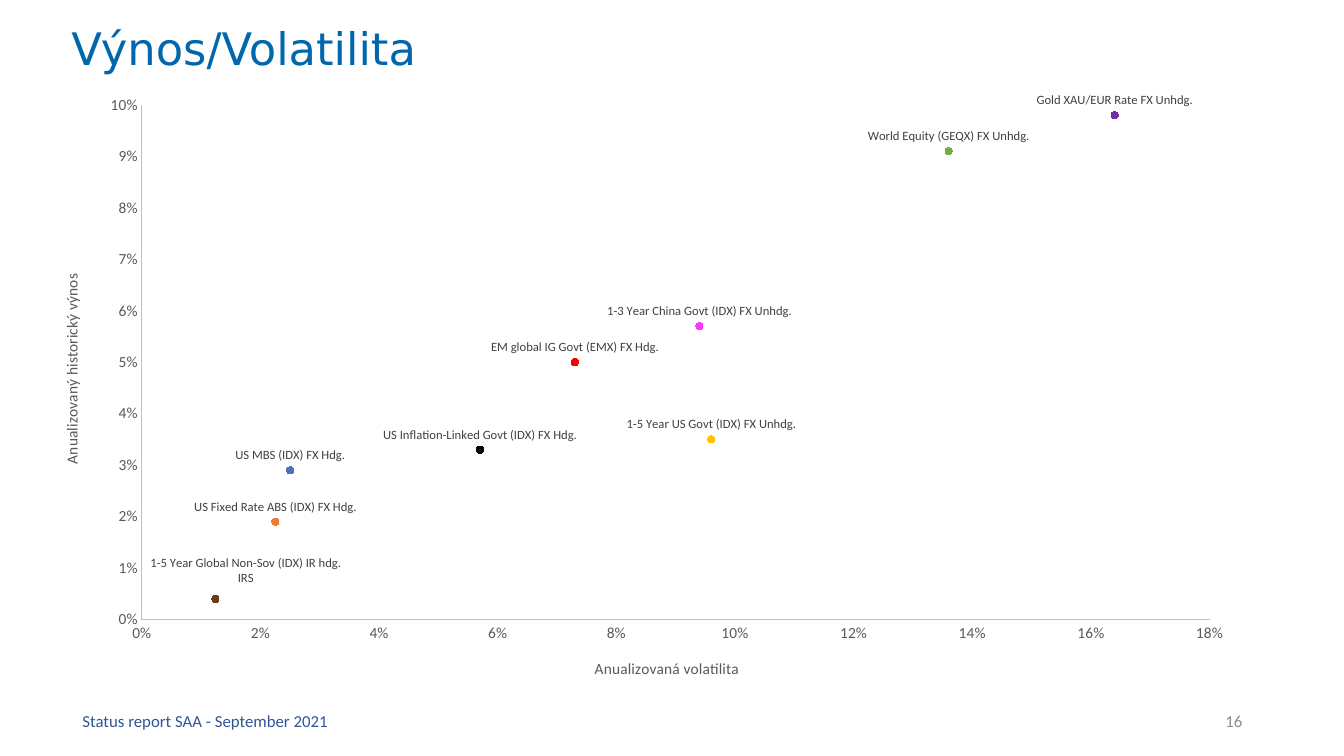
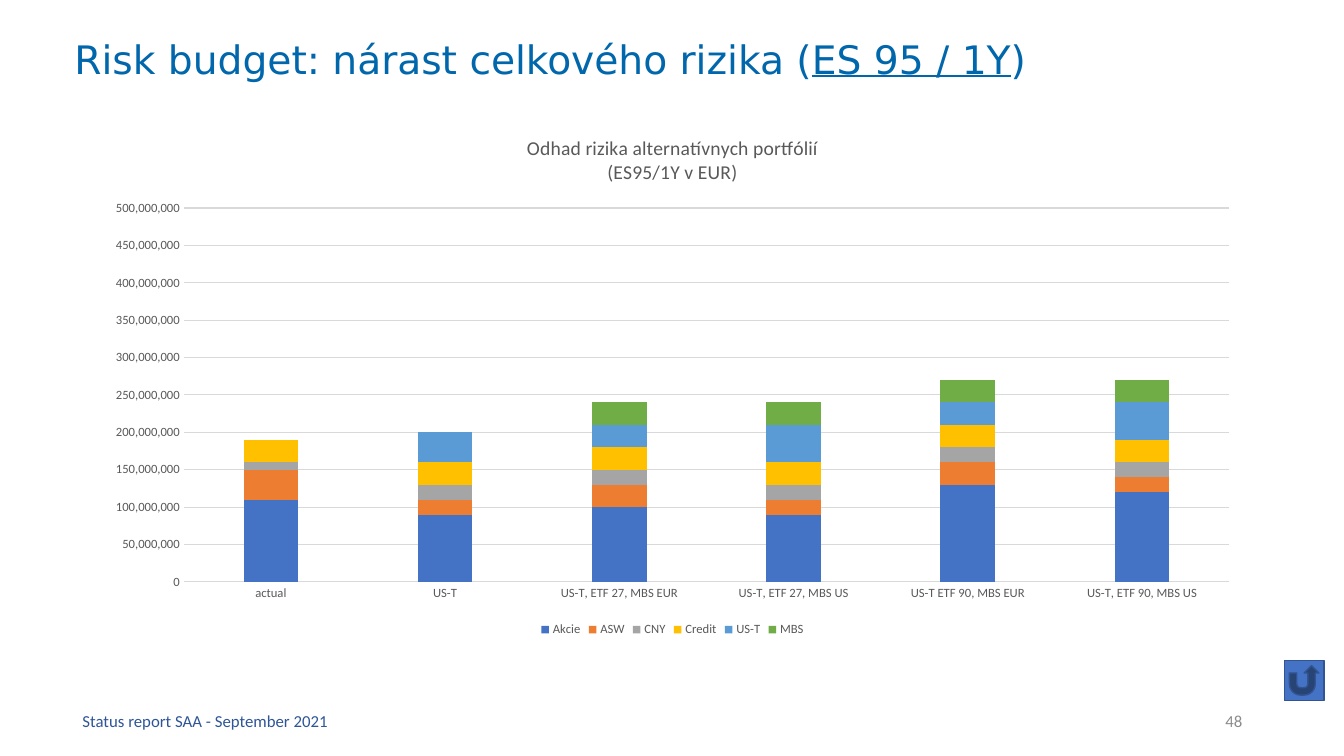
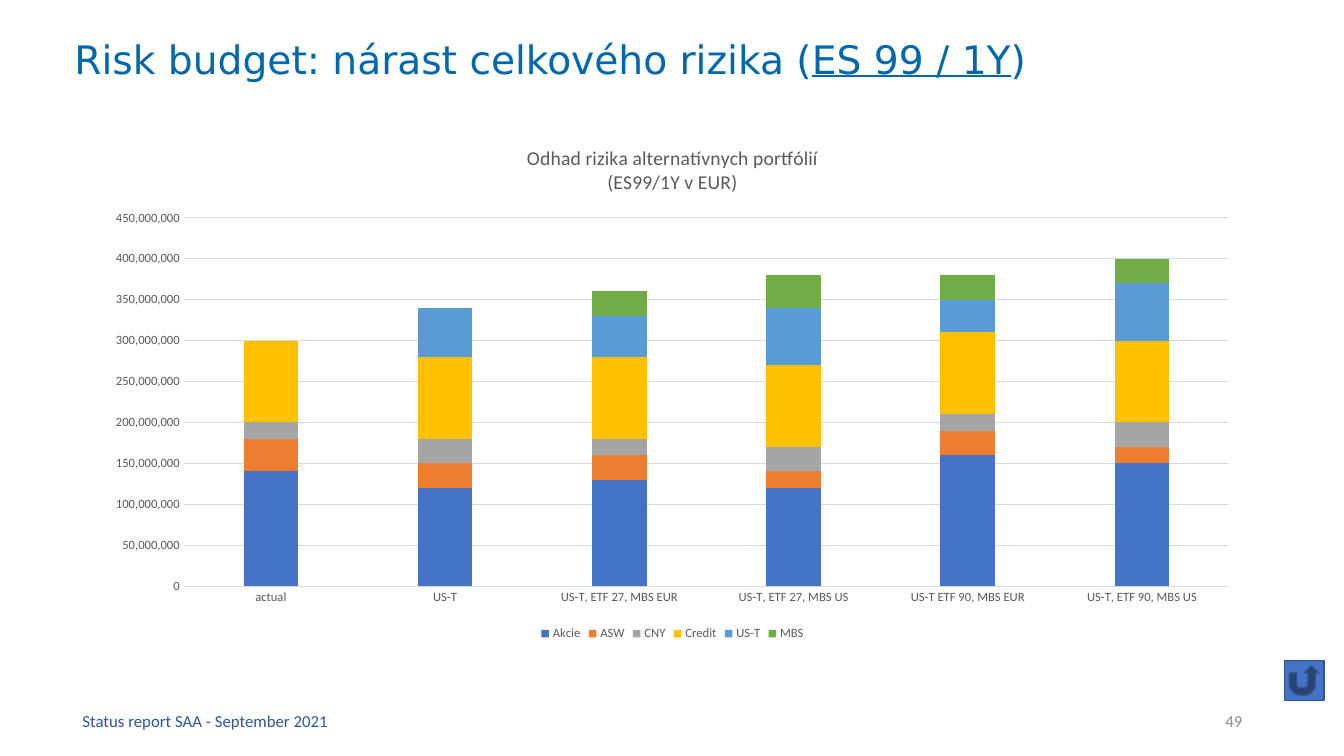
from dataclasses import dataclass

from lxml import etree
from pptx import Presentation
from pptx.chart.data import CategoryChartData, XyChartData
from pptx.chart.datalabel import DataLabels
from pptx.dml.color import RGBColor
from pptx.enum.chart import (XL_CHART_TYPE, XL_LABEL_POSITION, XL_LEGEND_POSITION,
                             XL_MARKER_STYLE, XL_TICK_MARK)
from pptx.enum.shapes import MSO_SHAPE
from pptx.enum.text import MSO_ANCHOR, MSO_AUTO_SIZE, PP_ALIGN
from pptx.oxml.ns import qn
from pptx.util import Inches, Pt

SCATTER = XL_CHART_TYPE.XY_SCATTER_SMOOTH
STACKED = XL_CHART_TYPE.COLUMN_STACKED
NO_TICK = XL_TICK_MARK.NONE
CIRCLE = XL_MARKER_STYLE.CIRCLE
ABOVE = XL_LABEL_POSITION.ABOVE
BOTTOM = XL_LEGEND_POSITION.BOTTOM
RETURN_BUTTON = MSO_SHAPE.ACTION_BUTTON_RETURN
MIDDLE = MSO_ANCHOR.MIDDLE
GROW = MSO_AUTO_SIZE.SHAPE_TO_FIT_TEXT
LEFT, RIGHT = PP_ALIGN.LEFT, PP_ALIGN.RIGHT

# Shared look
BODY_FONT, TITLE_FONT = "Calibri", "DejaVu Sans"
TITLE_BLUE, FOOTER_BLUE, PAGE_GREY = "0067AC", "2F5597", "8C8C8C"
CHART_GREY, LABEL_GREY, AXIS_GREY, GRID_GREY = "595959", "404040", "BFBFBF", "D9D9D9"
BLUE, ORANGE, GREY, GOLD, SKY, GREEN = "4472C4", "ED7D31", "A5A5A5", "FFC000", "5B9BD5", "70AD47"
BUTTON_EDGE = "325491"
FOOTER = "Status report SAA - September 2021"
MILLION = 1_000_000


@dataclass
class Box:
    left: float
    top: float
    width: float
    height: float

    def emu(self) -> tuple:
        return tuple(Inches(v) for v in (self.left, self.top, self.width, self.height))


@dataclass
class Asset:
    name: str
    volatility: float
    annual_return: float
    colour: str


@dataclass
class RiskSlide:
    level: str
    page: int
    chart_box: Box
    axis_max: int
    millions: list


ASSETS = [
    Asset("1-5 Year US Govt (IDX) FX Unhdg.", 0.096, 0.035, GOLD),
    Asset("1-3 Year China Govt (IDX) FX Unhdg.", 0.094, 0.057, "FA37FF"),
    Asset("US Inflation-Linked Govt (IDX) FX Hdg.", 0.057, 0.033, "000000"),
    Asset("US MBS (IDX) FX Hdg.", 0.025, 0.029, BLUE),
    Asset("World Equity (GEQX) FX Unhdg.", 0.136, 0.091, GREEN),
    Asset("Gold XAU/EUR Rate FX Unhdg.", 0.164, 0.098, "7030A0"),
    Asset("EM global IG Govt (EMX) FX Hdg.", 0.073, 0.05, "FF0000"),
    Asset("1-5 Year Global Non-Sov (IDX) IR hdg. IRS", 0.0124, 0.004, "6A3C16"),
    Asset("US Fixed Rate ABS (IDX) FX Hdg.", 0.0225, 0.019, ORANGE),
]
WRAPPED_ASSET = ASSETS[7]

PORTFOLIOS = ["actual", "US-T", "US-T, ETF 27, MBS EUR", "US-T, ETF 27, MBS US",
              "US-T ETF 90, MBS EUR", "US-T, ETF 90, MBS US"]
RISK_SOURCES = [("Akcie", BLUE), ("ASW", ORANGE), ("CNY", GREY),
                ("Credit", GOLD), ("US-T", SKY), ("MBS", GREEN)]
RISK_SLIDES = [
    RiskSlide("95", 48, Box(0.92, 1.15, 11.5, 5.21), 500, [
        [110, 90, 100, 90, 130, 120],
        [40, 20, 30, 20, 30, 20],
        [10, 20, 20, 20, 20, 20],
        [30] * 6,
        [None, 40, 30, 50, 30, 50],
        [None, None, 30, 30, 30, 30]]),
    RiskSlide("99", 49, Box(0.92, 1.25, 11.5, 5.15), 450, [
        [140, 120, 130, 120, 160, 150],
        [40, 30, 30, 20, 30, 20],
        [20, 30, 20, 30, 20, 30],
        [100] * 6,
        [None, 60, 50, 70, 40, 70],
        [None, None, 30, 40, 30, 30]]),
]


def rgb(colour: str) -> RGBColor:
    return RGBColor.from_string(colour)


def style_font(font, size: float, colour: str, name: str = BODY_FONT) -> None:
    font.size, font.name, font.bold = Pt(size), name, False
    font.color.rgb = rgb(colour)


def style_line(line, colour: str, width: float) -> None:
    line.color.rgb = rgb(colour)
    line.width = Pt(width)


def paint(fill, colour: str) -> None:
    fill.solid()
    fill.fore_color.rgb = rgb(colour)


# Slide frame
def add_text(slide, box: Box, parts: list, size: float, colour: str,
             font: str = BODY_FONT, align=LEFT):
    """Write one paragraph; every second part is underlined."""
    frame = slide.shapes.add_textbox(*box.emu()).text_frame
    frame.word_wrap = True
    paragraph = frame.paragraphs[0]
    paragraph.alignment = align
    for index, part in enumerate(parts):
        run = paragraph.add_run()
        run.text = part
        style_font(run.font, size, colour, font)
        if index % 2:
            run.font.underline = True
    return frame


def add_framed_slide(deck, title_parts: list, title_box: Box, title_size: float, page: int):
    slide = deck.slides.add_slide(deck.slide_layouts[6])
    title = add_text(slide, title_box, title_parts, title_size, TITLE_BLUE, TITLE_FONT)
    title.auto_size = GROW
    for box, words, colour, align in (
            (Box(0.72, 6.95, 4.5, 0.4), FOOTER, FOOTER_BLUE, LEFT),
            (Box(9.42, 6.95, 3, 0.4), str(page), PAGE_GREY, RIGHT)):
        footer = add_text(slide, box, [words], 12, colour, align=align)
        footer.vertical_anchor = MIDDLE
    return slide


def add_return_button(slide) -> None:
    button = slide.shapes.add_shape(RETURN_BUTTON, *Box(12.74, 6.55, 0.39, 0.4).emu())
    button.shadow.inherit = False
    paint(button.fill, BLUE)
    style_line(button.line, BUTTON_EDGE, 1)


# Charts
def add_chart(slide, kind, box: Box, data, size: float):
    chart = slide.shapes.add_chart(kind, *box.emu(), data).chart
    style_font(chart.font, size, "000000")
    return chart


def write_lines(frame, lines: list, size: float, colour: str) -> None:
    frame.text = "\n".join(lines)
    for paragraph in frame.paragraphs:
        for run in paragraph.runs:
            style_font(run.font, size, colour)


def style_axis(axis, size: float, line_colour: str = "", number_format: str = "") -> None:
    axis.major_tick_mark = axis.minor_tick_mark = NO_TICK
    axis.has_major_gridlines = False
    style_font(axis.tick_labels.font, size, CHART_GREY)
    if line_colour:
        style_line(axis.format.line, line_colour, 0.75)
    else:
        axis.format.line.fill.background()
    if number_format:
        axis.tick_labels.number_format = number_format
        axis.tick_labels.number_format_is_linked = False


def set_scale(axis, maximum: float, step: float) -> None:
    axis.minimum_scale, axis.maximum_scale, axis.major_unit = 0, maximum, step


def manual_layout(parent, **values) -> None:
    layout = etree.SubElement(parent, qn("c:manualLayout"))
    for tag, value in values.items():
        etree.SubElement(layout, qn(f"c:{tag}")).set("val", str(value))


def place_plot(chart) -> None:
    area = chart.element.find(".//" + qn("c:plotArea"))
    for old in area.findall(qn("c:layout")):
        area.remove(old)
    layout = etree.Element(qn("c:layout"))
    area.insert(0, layout)
    manual_layout(layout, layoutTarget="inner", xMode="edge", yMode="edge",
                  x=0.078, y=0.056, w=0.881, h=0.837)


def wrap_label(series, labels_xml, name: str) -> None:
    """Break the long label before its last word and move it right of its point."""
    label = series.points[0].data_label
    write_lines(label.text_frame, name.rsplit(" ", 1), 9, LABEL_GREY)
    label.position = ABOVE
    label_xml = labels_xml.find(qn("c:dLbl"))
    layout = etree.Element(qn("c:layout"))
    label_xml.insert(1, layout)
    manual_layout(layout, x=0.025, y=-0.01)


def style_asset(series, asset: Asset) -> None:
    series.smooth = True
    style_line(series.format.line, asset.colour, 1.5)
    series.marker.style, series.marker.size = CIRCLE, 5
    paint(series.marker.format.fill, asset.colour)
    style_line(series.marker.format.line, asset.colour, 0.75)
    labels_xml = series._element.get_or_add_dLbls()
    labels = DataLabels(labels_xml)
    labels.show_value, labels.show_series_name = False, True
    labels.position = ABOVE
    style_font(labels.font, 9, LABEL_GREY)
    if asset is WRAPPED_ASSET:
        wrap_label(series, labels_xml, asset.name)


def build_return_slide(deck) -> None:
    slide = add_framed_slide(deck, ["Výnos/Volatilita"], Box(0.61, 0.16, 11.88, 0.64), 32, 16)
    data = XyChartData()
    for asset in ASSETS:
        data.add_series(asset.name).add_data_point(asset.volatility, asset.annual_return)
    chart = add_chart(slide, SCATTER, Box(0.47, 0.7, 12.02, 6.1), data, 11)
    chart.has_legend = chart.has_title = False
    chart.plots[0].vary_by_categories = False
    place_plot(chart)
    for axis, title, maximum, step in (
            (chart.category_axis, "Anualizovaná volatilita", 0.18, 0.02),
            (chart.value_axis, "Anualizovaný historický výnos", 0.1, 0.01)):
        style_axis(axis, 11, AXIS_GREY, "0%")
        set_scale(axis, maximum, step)
        write_lines(axis.axis_title.text_frame, [title], 11, CHART_GREY)
    for series, asset in zip(chart.plots[0].series, ASSETS):
        style_asset(series, asset)


def build_risk_slide(deck, risk: RiskSlide) -> None:
    title = ["Risk budget: nárast celkového rizika (", f"ES {risk.level} / 1Y", ")"]
    slide = add_framed_slide(deck, title, Box(0.64, 0.3, 12.07, 0.57), 28, risk.page)
    add_return_button(slide)
    data = CategoryChartData(number_format="#,##0")
    data.categories = PORTFOLIOS
    for (name, _), row in zip(RISK_SOURCES, risk.millions):
        data.add_series(name, [None if v is None else v * MILLION for v in row])
    chart = add_chart(slide, STACKED, risk.chart_box, data, 10)
    write_lines(chart.chart_title.text_frame,
                ["Odhad rizika alternatívnych portfólií", f"(ES{risk.level}/1Y v EUR)"],
                14, CHART_GREY)
    chart.chart_title.include_in_layout = False
    chart.has_legend = True
    chart.legend.position = BOTTOM
    chart.legend.include_in_layout = False
    style_font(chart.legend.font, 9, CHART_GREY)
    style_axis(chart.category_axis, 9, GRID_GREY)
    style_axis(chart.value_axis, 9, number_format="#,##0")
    set_scale(chart.value_axis, risk.axis_max * MILLION, 50 * MILLION)
    style_line(chart.value_axis.major_gridlines.format.line, GRID_GREY, 0.75)
    plot = chart.plots[0]
    plot.gap_width, plot.overlap, plot.vary_by_categories = 219, 100, False
    for series, (_, colour) in zip(plot.series, RISK_SOURCES):
        paint(series.format.fill, colour)


def main() -> None:
    deck = Presentation()
    deck.slide_width, deck.slide_height = Inches(13.33), Inches(7.5)
    build_return_slide(deck)
    for risk in RISK_SLIDES:
        build_risk_slide(deck, risk)
    deck.save("out.pptx")


if __name__ == "__main__":
    main()
